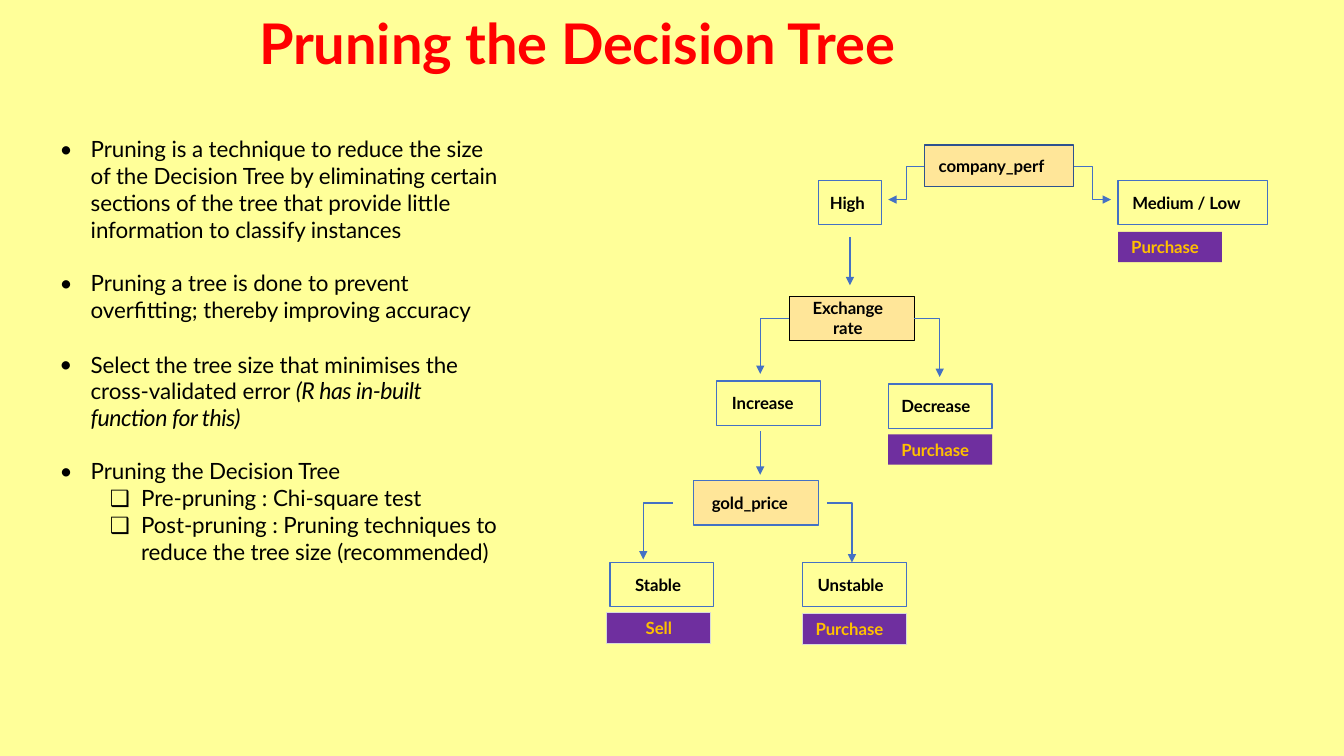
"""Build the slide that explains how a decision tree is pruned."""
from lxml.etree import SubElement
from pptx import Presentation
from pptx.dml.color import RGBColor
from pptx.enum.shapes import MSO_CONNECTOR as Connector, MSO_SHAPE as Shape
from pptx.enum.text import MSO_ANCHOR as Anchor, MSO_AUTO_SIZE as AutoSize, PP_ALIGN as Align
from pptx.oxml.ns import qn
from pptx.util import Inches, Pt

FONT = "Lato"
BLUE, PEACH, PURPLE, BLACK = "4471C4", "FFE699", "6F2F9F", "000000"
GOLD, RED, PALE_YELLOW, GREY, NAVY = "FFC000", "FF0000", "FFFF99", "D9D9D9", "2E528F"
rgb = RGBColor.from_string


def style_runs(paragraph, size, color, bold=False):
    """Format every run of a paragraph."""
    for run in paragraph.runs:
        run.font.name = FONT
        run.font.size = Pt(size)
        run.font.bold = bold
        run.font.color.rgb = rgb(color)
        run.font._element.set("spc", "-5")


def set_frame(frame, left=0, top=0, anchor=Anchor.TOP):
    """Set the insets, wrapping and anchor of a text frame."""
    frame.margin_left, frame.margin_top = Inches(left), Inches(top)
    frame.margin_right = frame.margin_bottom = 0
    frame.word_wrap = True
    frame.auto_size = AutoSize.NONE
    frame.vertical_anchor = anchor


deck = Presentation()
deck.slide_width, deck.slide_height = Inches(13.33), Inches(7.5)
slide = deck.slides.add_slide(deck.slide_layouts[5])
slide.background.fill.solid()
slide.background.fill.fore_color.rgb = rgb(PALE_YELLOW)

title = slide.shapes.title
title.left, title.top, title.width, title.height = (Inches(v) for v in (2.56, 0.07, 7.23, 0.69))
title.text_frame.text = "Pruning the Decision Tree"
set_frame(title.text_frame, 0.01, 0.01)
title.text_frame.paragraphs[0].alignment = Align.LEFT
style_runs(title.text_frame.paragraphs[0], 40, RED, True)

# top, width, height, paragraphs of (bullet, text indent, text, italic ending)
points = [
    (1.33, 4.38, 1.09, [("•", 0.33, "Pruning is a technique to reduce the size of the Decision Tree by "
                         "eliminating certain sections of the tree that provide little "
                         "information to classify instances", "")]),
    (2.66, 4.18, 0.56, [("•", 0.33, "Pruning a tree is done to prevent overfitting; "
                         "thereby improving accuracy", "")]),
    (3.47, 4.07, 0.83, [("•", 0.33, "Select the tree size that minimises the cross-validated error ",
                         "(R has in-built function for this)")]),
    (4.53, 4.42, 1.09, [("•", 0.33, "Pruning the Decision Tree", ""),
                        ("❑", 0.83, "Pre-pruning : Chi-square test", ""),
                        ("❑", 0.83, "Post-pruning : Pruning techniques to reduce the tree size "
                         "(recommended)", "")]),
]
for top, width, height, paragraphs in points:
    frame = slide.shapes.add_textbox(Inches(0.57), Inches(top), Inches(width), Inches(height)).text_frame
    set_frame(frame, top=0.01)
    for number, (bullet, indent, text, ending) in enumerate(paragraphs):
        paragraph = frame.add_paragraph() if number else frame.paragraphs[0]
        paragraph.text = text
        paragraph.level = int(bullet == "❑")
        properties = paragraph._p.get_or_add_pPr()
        properties.set("marL", str(Inches(indent)))
        properties.set("indent", str(-Inches(0.31)))
        SubElement(properties, qn("a:buFont")).set("typeface", FONT)
        SubElement(properties, qn("a:buChar")).set("char", bullet)
        style_runs(paragraph, 16, BLACK)
        if ending:
            paragraph.line_spacing = Pt(19.2)
            remark = paragraph.add_run()
            remark.text = ending
            remark.font.name, remark.font.size, remark.font.italic = FONT, Pt(16.5), True
            remark.font.color.rgb = rgb(BLACK)
            remark.font._element.set("spc", "-30")

# label, left, top, width, height, text inset (None centres), fill, line, text colour
nodes = [
    ("company_perf", 9.17, 1.44, 1.48, 0.41, 0.14, PEACH, NAVY, BLACK),
    ("High", 8.12, 1.79, 0.62, 0.44, 0.11, None, BLUE, BLACK),
    ("Medium / Low", 11.09, 1.79, 1.48, 0.44, 0.14, None, BLUE, BLACK),
    ("Purchase", 11.09, 2.3, 1.03, 0.3, 0.13, PURPLE, None, GOLD),
    ("Exchange\vrate", 7.83, 2.94, 1.24, 0.44, None, PEACH, BLACK, BLACK),
    ("Increase", 7.11, 3.78, 1.03, 0.44, 0.15, None, BLUE, BLACK),
    ("Decrease", 8.81, 3.81, 1.03, 0.44, 0.13, None, BLUE, BLACK),
    ("Purchase", 8.81, 4.31, 1.03, 0.3, 0.13, PURPLE, None, GOLD),
    ("gold_price", 6.88, 4.77, 1.24, 0.44, 0.18, PEACH, BLUE, BLACK),
    ("Stable", 6.05, 5.58, 1.03, 0.44, 0.25, None, BLUE, BLACK),
    ("Unstable", 7.96, 5.58, 1.03, 0.44, 0.15, None, BLUE, BLACK),
    ("Sell", 6.02, 6.08, 1.03, 0.3, None, PURPLE, GREY, GOLD),
    ("Purchase", 7.96, 6.09, 1.03, 0.3, 0.13, PURPLE, GREY, GOLD),
]
for label, left, top, width, height, inset, fill, line, color in nodes:
    node = slide.shapes.add_shape(Shape.RECTANGLE, Inches(left), Inches(top), Inches(width), Inches(height))
    node.shadow.inherit = False
    if fill:
        node.fill.solid()
        node.fill.fore_color.rgb = rgb(fill)
    else:
        node.fill.background()
    if line:
        node.line.color.rgb = rgb(line)
        node.line.width = Pt(0.72 if line == GREY else 0.96)
    else:
        node.line.fill.background()
    node.text_frame.text = label
    set_frame(node.text_frame, inset or 0, anchor=Anchor.MIDDLE)
    if "\v" in label:
        node.text_frame.margin_right = Inches(0.08)
        node.text_frame.margin_bottom = Inches(0.02)
    node.text_frame.paragraphs[0].alignment = Align.CENTER if inset is None else Align.LEFT
    style_runs(node.text_frame.paragraphs[0], 12, color, True)

# start, end, route
branches = [
    ((9.17, 1.65), (8.81, 1.98), "step"),
    ((10.65, 1.65), (11.02, 1.98), "step"),
    ((8.43, 2.35), (8.43, 2.83), "straight"),
    ((7.83, 3.16), (7.54, 3.71), "corner"),
    ((9.07, 3.16), (9.32, 3.74), "corner"),
    ((7.54, 4.28), (7.54, 4.71), "straight"),
    ((6.67, 4.99), (6.38, 5.55), "corner"),
    ((8.2, 4.99), (8.45, 5.58), "corner"),
]
for start, end, route in branches:
    x1, y1, x2, y2 = (Inches(v) for v in start + end)
    if route == "corner":
        outline = slide.shapes.build_freeform(x1, y1)
        outline.add_line_segments([(x2, y1), (x2, y2)], close=False)
        branch = outline.convert_to_shape()
        branch.fill.background()
    else:
        kind = Connector.ELBOW if route == "step" else Connector.STRAIGHT
        branch = slide.shapes.add_connector(kind, x1, y1, x2, y2)
    branch.line.color.rgb = rgb(BLUE)
    branch.line.width = Pt(1)
    SubElement(branch.line._get_or_add_ln(), qn("a:tailEnd")).set("type", "triangle")
    SubElement(branch._element.spPr, qn("a:effectLst"))

deck.save("out.pptx")
